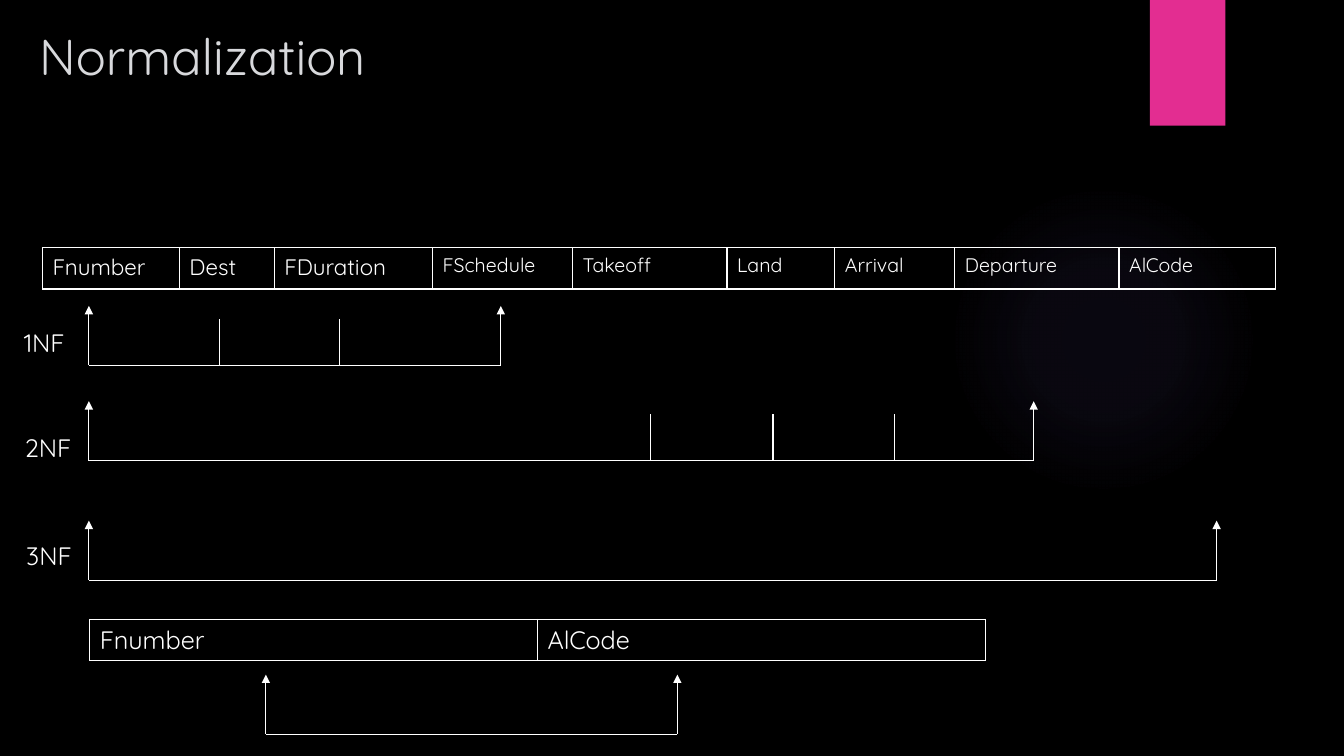
from dataclasses import dataclass

from pptx import Presentation
from pptx import oxml
from pptx import util as u
from pptx.dml import color
from pptx.enum import shapes, text
from pptx.oxml import ns


@dataclass(frozen=True)
class Theme:
    """Colours, font and type sizes of the slide."""
    back: str = "000000"
    ink: str = "FFFFFF"
    head: str = "D8D9DC"
    pink: str = "E32D91"
    glow: str = "8971E1"
    font: str = "Quicksand"
    title: int = 36
    label: int = 18
    field: int = 16
    small: int = 14


look = Theme()
rgb = color.RGBColor.from_string
deck = Presentation()
deck.slide_width, deck.slide_height = u.Cm(33.87), u.Cm(19.05)
slide = deck.slides.add_slide(deck.slide_layouts[6])
slide.background.fill.solid()
slide.background.fill.fore_color.rgb = rgb(look.back)
draw = slide.shapes


def write(frame, words, size, tint=look.ink, **form):
    """Put words into a text frame, with any frame settings."""
    for name, value in form.items():
        setattr(frame, name, value)
    run = frame.paragraphs[0].add_run()
    run.text = words
    for name, value in {"name": look.font, "size": u.Pt(size)}.items():
        setattr(run.font, name, value)
    run.font.color.rgb = rgb(tint)


def rule(x1, y1, x2, y2, arrow=False):
    """Draw a thin line, with an arrowhead at its end if asked."""
    line = draw.add_connector(shapes.MSO_CONNECTOR.STRAIGHT,
                              u.Cm(x1), u.Cm(y1), u.Cm(x2), u.Cm(y2))
    line.line.color.rgb = rgb(look.ink)
    line.line.width = u.Pt(0.75)
    if arrow:
        tail = oxml.parse_xml(f'<a:tailEnd {ns.nsdecls("a")} type="triangle"/>')
        line.line._get_or_add_ln().append(tail)
    none = oxml.parse_xml(f'<a:effectLst {ns.nsdecls("a")}/>')
    line._element.spPr.append(none)


# Backdrop: soft glow and pink tab
glow = draw.add_shape(shapes.MSO_SHAPE.OVAL,
                      u.Cm(23.9), u.Cm(4.65), u.Cm(7.82), u.Cm(7.82))
tab = draw.add_shape(shapes.MSO_SHAPE.RECTANGLE,
                     u.Cm(28.98), 0, u.Cm(1.9), u.Cm(3.17))
for shape in (glow, tab):
    shape.shadow.inherit = False
    shape.line.fill.background()
tab.fill.solid()
tab.fill.fore_color.rgb = rgb(look.pink)
stops = "".join(
    f'<a:gs pos="{pos}000"><a:srgbClr val="{look.glow}">'
    f'<a:alpha val="{alpha}000"/></a:srgbClr></a:gs>'
    for pos, alpha in ((0, 7), (36, 6), (69, 0)))
fade = oxml.parse_xml(
    f'<a:gradFill {ns.nsdecls("a")}><a:gsLst>{stops}</a:gsLst>'
    '<a:path path="circle"><a:fillToRect l="50000" t="50000" r="50000" '
    'b="50000"/></a:path></a:gradFill>')
glow._element.spPr.find(ns.qn("a:prstGeom")).addnext(fade)

# Title and normal form labels
title = draw.add_textbox(u.Cm(0.74), u.Cm(0.86), u.Cm(24.5), u.Cm(1.42))
write(title.text_frame, "Normalization", look.title, look.head,
      word_wrap=True, vertical_anchor=text.MSO_ANCHOR.BOTTOM)
for words, x, y in (("1NF", 0.35, 8.13), ("2NF", 0.37, 10.77),
                    ("3NF", 0.41, 13.49)):
    box = draw.add_textbox(u.Cm(x), u.Cm(y), u.Cm(1.75), u.Cm(1.02))
    write(box.text_frame, words, look.label, word_wrap=False)

# Tables of fields: left, top, then name, width and type size of each field
flight = (("Fnumber", 3.45, look.field), ("Dest", 2.39, look.field),
          ("FDuration", 3.99, look.field), ("FSchedule", 3.53, look.small),
          ("Takeoff", 3.89, look.small), ("Land", 2.72, look.small),
          ("Arrival", 3.02, look.small), ("Departure", 4.14, look.small),
          ("AlCode", 3.94, look.small))
link = (("Fnumber", 11.29, look.label), ("AlCode", 11.29, look.label))
for left, top, fields in ((1.07, 6.24, flight), (2.26, 15.61, link)):
    wide = sum(field[1] for field in fields)
    grid = draw.add_table(1, len(fields), u.Cm(left), u.Cm(top),
                          u.Cm(wide), u.Cm(1.04)).table
    for name in ("first_row", "horz_banding"):
        setattr(grid, name, False)
    for col, (words, width, size) in enumerate(fields):
        grid.columns[col].width = u.Cm(width)
        cell = grid.cell(0, col)
        write(cell.text_frame, words, size)
        for side in ("lnL", "lnR", "lnT", "lnB"):
            edge = oxml.parse_xml(
                f'<a:{side} {ns.nsdecls("a")} w="12700"><a:solidFill>'
                f'<a:srgbClr val="{look.ink}"/></a:solidFill></a:{side}>')
            cell._tc.get_or_add_tcPr().append(edge)
        cell.fill.background()

# Dependency brackets: left, right, base line, ticks between
for left, right, base, ticks in ((2.24, 12.62, 9.21, (5.54, 8.56)),
                                 (2.24, 26.05, 11.61, (16.4, 19.48, 22.54)),
                                 (2.24, 30.66, 14.62, ()),
                                 (6.7, 17.07, 18.5, ())):
    rule(left, base, right, base)
    for x in (left, right):
        rule(x, base, x, base - 1.5, arrow=True)
    for x in ticks:
        rule(x, base, x, base - 1.17)

deck.save("out.pptx")
